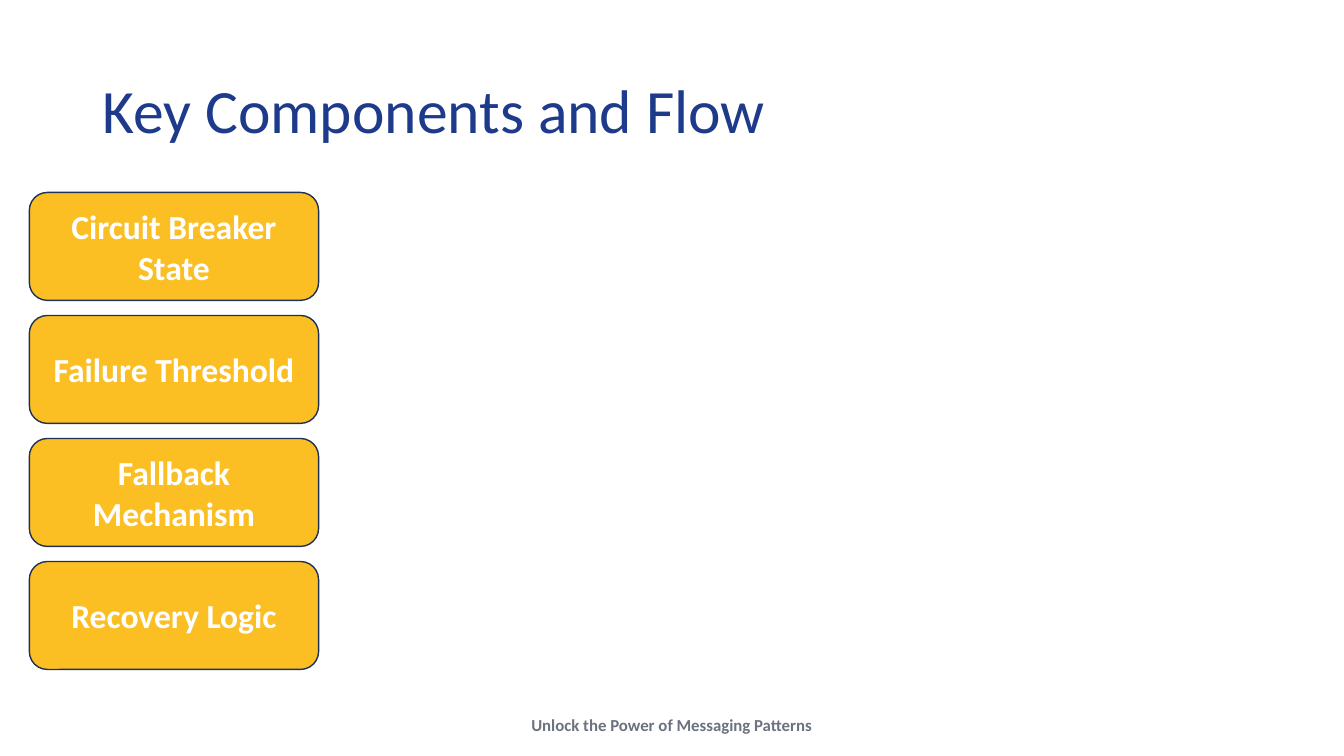
from dataclasses import dataclass

from pptx import Presentation
from pptx.dml.color import RGBColor
from pptx.enum.shapes import MSO_SHAPE
from pptx.enum.text import MSO_ANCHOR, MSO_AUTO_SIZE, PP_ALIGN
from pptx.slide import Slide
from pptx.text.text import TextFrame
from pptx.util import Cm, Pt

NAVY = RGBColor(0x1E, 0x3A, 0x8A)
OUTLINE = RGBColor(0x1E, 0x32, 0x56)
AMBER = RGBColor(0xFB, 0xBF, 0x24)
GREY = RGBColor(0x6B, 0x72, 0x80)
WHITE = RGBColor(0xFF, 0xFF, 0xFF)

CARD_LEFT = 0.74
CARD_TOP = 4.85
CARD_PITCH = 3.1


@dataclass
class TextStyle:
    size: int
    color: RGBColor
    bold: bool
    align: PP_ALIGN


TITLE = TextStyle(44, NAVY, False, PP_ALIGN.LEFT)
CARD = TextStyle(24, WHITE, True, PP_ALIGN.CENTER)
FOOTER = TextStyle(12, GREY, True, PP_ALIGN.CENTER)

COMPONENTS = [
    "Circuit Breaker State",
    "Failure Threshold",
    "Fallback Mechanism",
    "Recovery Logic",
]


def write(frame: TextFrame, text: str, style: TextStyle) -> None:
    frame.text = text
    para = frame.paragraphs[0]
    para.alignment = style.align
    for span in para.runs:
        span.font.name = "Calibri"
        span.font.size = Pt(style.size)
        span.font.bold = style.bold
        span.font.color.rgb = style.color


def add_title(page: Slide, text: str) -> None:
    title = page.shapes.title
    title.left, title.top = Cm(2.33), Cm(1.01)
    title.width, title.height = Cm(29.21), Cm(3.68)
    frame = title.text_frame
    write(frame, text, TITLE)
    frame.vertical_anchor = MSO_ANCHOR.MIDDLE
    frame.paragraphs[0].line_spacing = 0.9


def add_card(page: Slide, text: str, top: float) -> None:
    card = page.shapes.add_shape(
        MSO_SHAPE.ROUNDED_RECTANGLE, Cm(CARD_LEFT), Cm(top), Cm(7.29), Cm(2.72)
    )
    card.shadow.inherit = False
    card.fill.solid()
    card.fill.fore_color.rgb = AMBER
    card.line.color.rgb = OUTLINE
    card.line.width = Pt(1)
    frame = card.text_frame
    frame.word_wrap = True
    frame.vertical_anchor = MSO_ANCHOR.MIDDLE
    write(frame, text, CARD)


def add_footer(page: Slide, text: str) -> None:
    box = page.shapes.add_textbox(Cm(13.08), Cm(17.88), Cm(7.7), Cm(0.76))
    frame = box.text_frame
    frame.word_wrap = False
    frame.auto_size = MSO_AUTO_SIZE.SHAPE_TO_FIT_TEXT
    write(frame, text, FOOTER)


def main() -> None:
    deck = Presentation()
    deck.slide_width, deck.slide_height = Cm(33.87), Cm(19.05)
    page = deck.slides.add_slide(deck.slide_layouts.get_by_name("Title Only"))
    page.background.fill.solid()
    page.background.fill.fore_color.rgb = WHITE
    add_footer(page, "Unlock the Power of Messaging Patterns")
    add_title(page, "Key Components and Flow")
    for row, component in enumerate(COMPONENTS):
        add_card(page, component, CARD_TOP + row * CARD_PITCH)
    deck.save("out.pptx")


if __name__ == "__main__":
    main()
